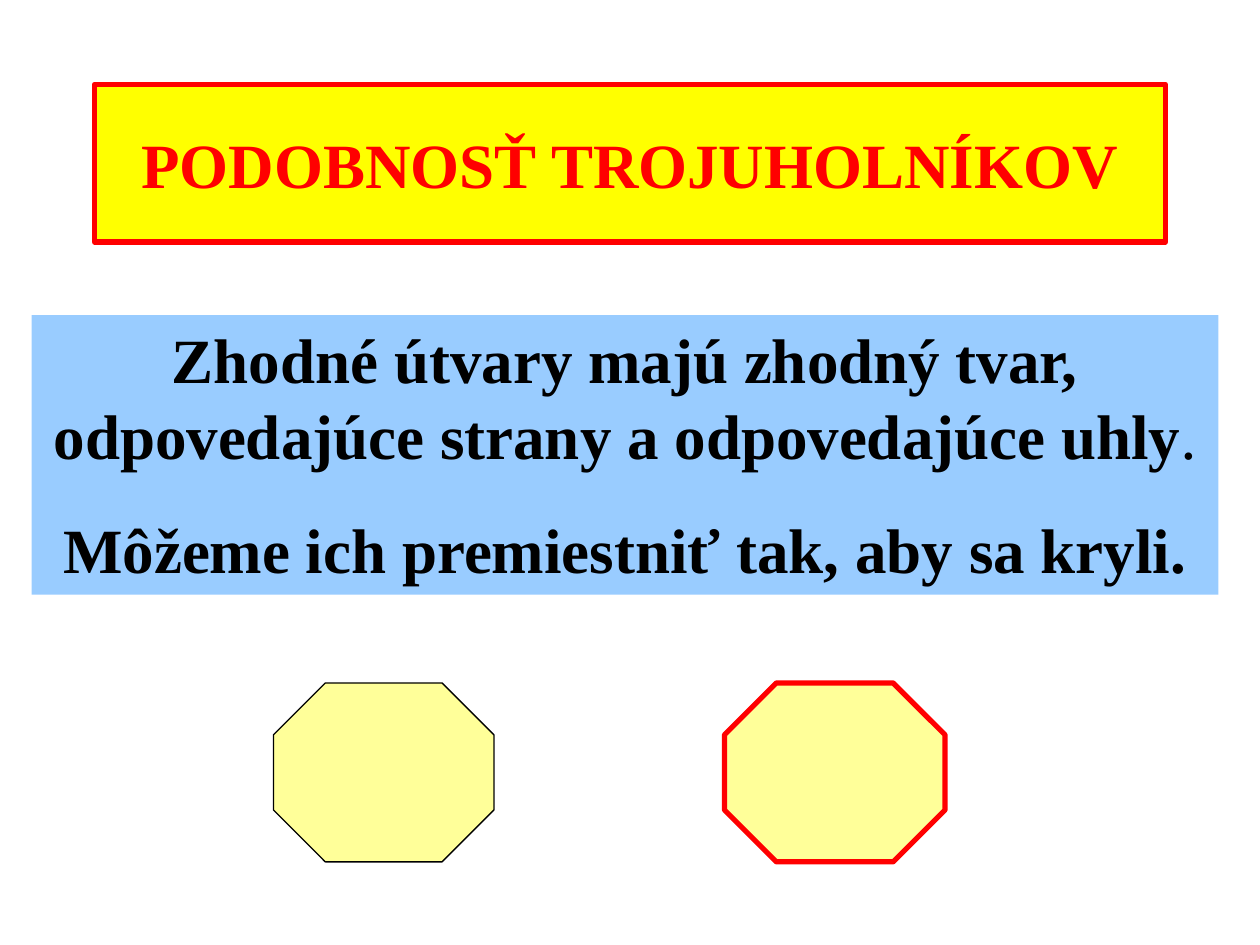
"""Build a slide on congruent shapes under a triangle similarity title."""
from pptx import Presentation
from pptx.dml.color import RGBColor
from pptx.enum.shapes import MSO_SHAPE
from pptx.enum.text import MSO_ANCHOR, PP_ALIGN
from pptx.util import Inches, Pt

RED = RGBColor(0xFF, 0x00, 0x00)
BLACK = RGBColor(0x00, 0x00, 0x00)
YELLOW = RGBColor(0xFF, 0xFF, 0x00)
CREAM = RGBColor(0xFF, 0xFF, 0x99)
BLUE = RGBColor(0x99, 0xCC, 0xFF)


def add_box(kind, left, top, width, height, fill, line=None, weight=0):
    box = slide.shapes.add_shape(
        kind, Inches(left), Inches(top), Inches(width), Inches(height))
    box.shadow.inherit = False
    box.fill.solid()
    box.fill.fore_color.rgb = fill
    if line is None:
        box.line.fill.background()
    else:
        box.line.color.rgb = line
        box.line.width = Pt(weight)
    return box


def style(para, color):
    para.alignment = PP_ALIGN.CENTER
    for run in para.runs:
        run.font.name = "Times New Roman"
        run.font.size = Pt(36)
        run.font.bold = True
        run.font.color.rgb = color


deck = Presentation()
deck.slide_width = Inches(10)
deck.slide_height = Inches(7.5)
slide = deck.slides.add_slide(deck.slide_layouts[6])

title = add_box(MSO_SHAPE.RECTANGLE, 0.75, 0.67, 8.5, 1.25, YELLOW, RED, 3)
title.text_frame.text = "PODOBNOSŤ TROJUHOLNÍKOV"
title.text_frame.word_wrap = True
title.text_frame.vertical_anchor = MSO_ANCHOR.MIDDLE
style(title.text_frame.paragraphs[0], RED)

panel = add_box(MSO_SHAPE.RECTANGLE, 0.25, 2.5, 9.42, 2.22, BLUE)
frame = panel.text_frame
frame.word_wrap = True
frame.vertical_anchor = MSO_ANCHOR.TOP
first = frame.paragraphs[0]
first.text = "Zhodné útvary majú zhodný tvar, odpovedajúce strany a odpovedajúce uhly"
stop = first.add_run()
stop.text = "."
last = frame.add_paragraph()
last.text = "Môžeme ich premiestniť tak, aby sa kryli."
last.space_before = Pt(22.5)
for para in frame.paragraphs:
    style(para, BLACK)
    para.line_spacing = Pt(43)
stop.font.bold = False

for left, line, weight in [(2.17, BLACK, 0.75), (5.75, RED, 3)]:
    shape = add_box(MSO_SHAPE.OCTAGON, left, 5.42, 1.75, 1.42, CREAM, line, weight)
    shape.adjustments[0] = 0.29

deck.save("out.pptx")
